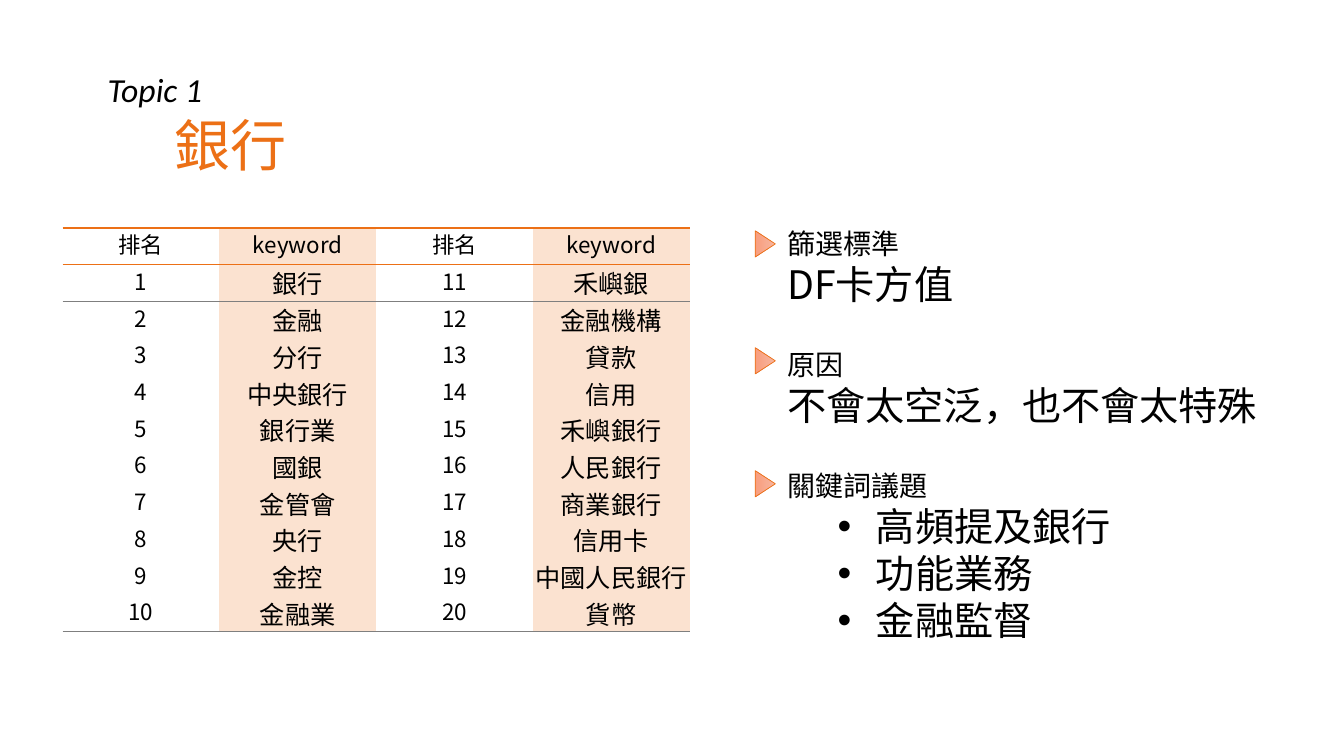
from dataclasses import dataclass

from pptx import Presentation
from pptx.dml.color import RGBColor
from pptx.enum.shapes import MSO_SHAPE
from pptx.enum.text import MSO_ANCHOR, PP_ALIGN
from pptx.oxml.ns import qn
from pptx.oxml.xmlchemy import OxmlElement
from pptx.util import Inches, Pt

TRIANGLE = MSO_SHAPE.ISOSCELES_TRIANGLE
LEFT, CENTER = PP_ALIGN.LEFT, PP_ALIGN.CENTER
MIDDLE, BOTTOM = MSO_ANCHOR.MIDDLE, MSO_ANCHOR.BOTTOM
PLAIN_TABLE_STYLE = "{2D5ABB26-0587-4C30-8999-92F81FD0307C}"


@dataclass(frozen=True)
class Theme:
    ink: str = "000000"
    accent: str = "EC7016"
    band: str = "FBE2D0"
    rule: str = "7F7F7F"
    marker_start: str = "F7B6A0"
    marker_end: str = "F89D7D"
    body_font: str = "Noto Sans CJK SC"
    topic_font: str = "Calibri"
    title: int = 40
    topic: int = 24
    point: int = 28
    label: int = 20
    keyword: int = 18
    rank: int = 16
    leading: float = 1.2
    section_gap: float = 28.8


THEME = Theme()

LEFT_KEYWORDS = ["銀行", "金融", "分行", "中央銀行", "銀行業",
                 "國銀", "金管會", "央行", "金控", "金融業"]
RIGHT_KEYWORDS = ["禾嶼銀", "金融機構", "貸款", "信用", "禾嶼銀行",
                  "人民銀行", "商業銀行", "信用卡", "中國人民銀行", "貨幣"]
SECTIONS = [
    ("篩選標準", ["DF卡方值"], False),
    ("原因", ["不會太空泛，也不會太特殊"], False),
    ("關鍵詞議題", ["高頻提及銀行", "功能業務", "金融監督"], True),
]
MARKER_TOPS = [2.32, 3.48, 4.7]


def rgb(value):
    return RGBColor.from_string(value)


def write(paragraph, text, *, size, font=THEME.body_font, color=THEME.ink,
          italic=False, align=LEFT, before=0, bullet=False):
    """Fill one paragraph with formatted text."""
    paragraph.alignment = align
    paragraph.line_spacing = Pt(size * THEME.leading)
    paragraph.space_before = Pt(before)
    run = paragraph.add_run()
    run.text = text
    run.font.size = Pt(size)
    run.font.name = font
    run.font.italic = italic
    run.font.color.rgb = rgb(color)
    east_asian = OxmlElement("a:ea")
    east_asian.set("typeface", font)
    run.font._element.find(qn("a:latin")).addnext(east_asian)
    if bullet:
        paragraph.level = 1
        properties = paragraph._p.get_or_add_pPr()
        properties.set("marL", str(Inches(0.88)))
        properties.set("indent", str(Inches(-0.38)))
        for tag, key, value in (("a:buFont", "typeface", "Arial"),
                                ("a:buChar", "char", "•")):
            mark = OxmlElement(tag)
            mark.set(key, value)
            properties.append(mark)


def add_text_area(slide, left, top, width, height):
    box = slide.shapes.add_textbox(Inches(left), Inches(top),
                                   Inches(width), Inches(height))
    frame = box.text_frame
    frame.word_wrap = True
    frame.margin_right = 0
    return frame


def add_border(cell, side, color, width):
    line = OxmlElement(f"a:{side}")
    line.set("w", str(Pt(width)))
    fill = OxmlElement("a:solidFill")
    shade = OxmlElement("a:srgbClr")
    shade.set("val", color)
    fill.append(shade)
    line.append(fill)
    cell._tc.get_or_add_tcPr().append(line)


def add_keyword_table(slide):
    count = len(LEFT_KEYWORDS)
    rows = [("排名", "keyword") * 2]
    for rank, (first, second) in enumerate(zip(LEFT_KEYWORDS, RIGHT_KEYWORDS), 1):
        rows.append((str(rank), first, str(rank + count), second))

    table = slide.shapes.add_table(len(rows), 4, Inches(0.62), Inches(2.26),
                                   Inches(6.22), Inches(4.01)).table
    table.first_row = table.horz_banding = False
    table._tbl.tblPr.find(qn("a:tableStyleId")).text = PLAIN_TABLE_STYLE

    # Rules under the header, the top entry and the last entry
    rules = {0: (THEME.accent, 1), 1: (THEME.rule, 0.75), count: (THEME.rule, 0.75)}
    for r, row in enumerate(rows):
        for c, text in enumerate(row):
            cell = table.cell(r, c)
            in_band = c % 2 == 1
            is_keyword = in_band and r > 0
            cell.margin_left = cell.margin_right = Inches(0.01)
            cell.margin_top, cell.margin_bottom = Inches(0.01), 0
            cell.vertical_anchor = BOTTOM if is_keyword else MIDDLE
            if r == 0:
                add_border(cell, "lnT", THEME.accent, 1.5)
            if r in rules:
                add_border(cell, "lnB", *rules[r])
            if in_band:
                cell.fill.solid()
                cell.fill.fore_color.rgb = rgb(THEME.band)
            else:
                cell.fill.background()
            write(cell.text_frame.paragraphs[0], text, align=CENTER,
                  size=THEME.keyword if is_keyword else THEME.rank)


def add_sections(slide):
    frame = add_text_area(slide, 7.71, 2.2, 4.89, 4.27)
    for index, (label, points, bulleted) in enumerate(SECTIONS):
        heading = frame.add_paragraph() if index else frame.paragraphs[0]
        write(heading, label, size=THEME.label,
              before=THEME.section_gap if index else 0)
        for point in points:
            write(frame.add_paragraph(), point, size=THEME.point, bullet=bulleted)


def add_marker(slide, top):
    marker = slide.shapes.add_shape(TRIANGLE, Inches(7.46), Inches(top),
                                    Inches(0.26), Inches(0.2))
    marker.rotation = 90
    marker.shadow.inherit = False
    marker.fill.gradient()
    marker.fill.gradient_angle = 270
    for stop, color in zip(marker.fill.gradient_stops,
                           (THEME.marker_start, THEME.marker_end)):
        stop.color.rgb = rgb(color)
    marker.line.color.rgb = rgb(THEME.accent)
    marker.line.width = Pt(0.5)


def main():
    deck = Presentation()
    deck.slide_width, deck.slide_height = Inches(13.33), Inches(7.5)
    slide = deck.slides.add_slide(deck.slide_layouts[6])

    # Heading
    topic = add_text_area(slide, 0.97, 0.63, 2.07, 0.5)
    write(topic.paragraphs[0], "Topic 1", size=THEME.topic,
          font=THEME.topic_font, italic=True)
    title = add_text_area(slide, 1.63, 1.05, 2.07, 0.77)
    write(title.paragraphs[0], "銀行", size=THEME.title, color=THEME.accent)

    # Criteria beside the ranking
    add_sections(slide)
    add_keyword_table(slide)
    for top in MARKER_TOPS:
        add_marker(slide, top)

    deck.save("out.pptx")


if __name__ == "__main__":
    main()
